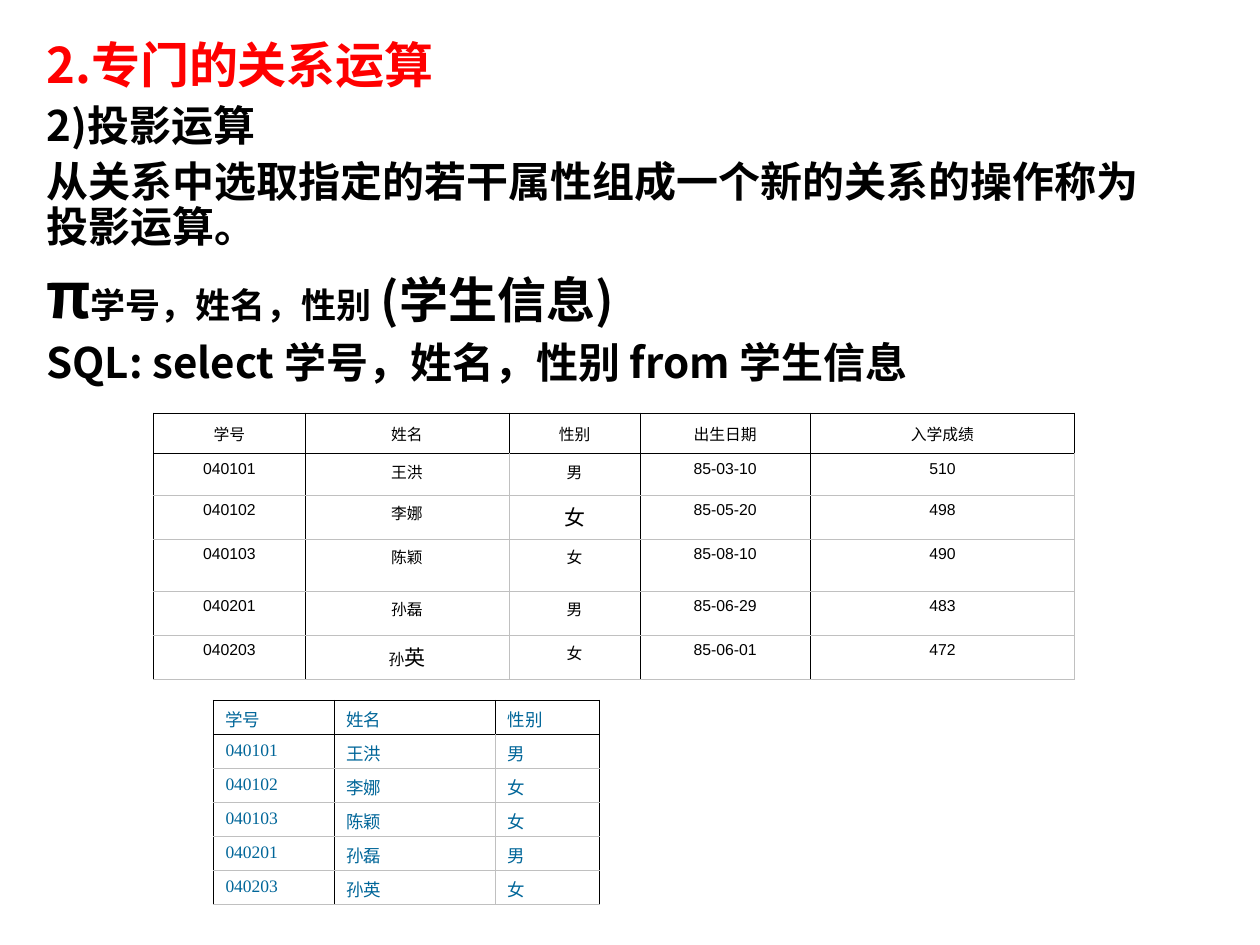
from lxml import etree
from pptx import Presentation
from pptx.dml.color import RGBColor
from pptx.enum.text import MSO_ANCHOR, PP_ALIGN
from pptx.oxml.ns import qn
from pptx.util import Inches, Pt

TOP, MIDDLE = MSO_ANCHOR.TOP, MSO_ANCHOR.MIDDLE
LEFT, CENTER = PP_ALIGN.LEFT, PP_ALIGN.CENTER

BLACK = RGBColor(0, 0, 0)
WHITE = RGBColor(255, 255, 255)
RED = RGBColor(255, 0, 0)
GRAY = RGBColor(0xC0, 0xC0, 0xC0)
TEAL = RGBColor(0x00, 0x66, 0x99)

HEADING_FONT = "Noto Sans CJK SC"
STUDENT_FONT = "Arial"
RESULT_FONT = "Times New Roman"

THIN, THICK = 0.45, 0.96

BODY = [
    (0, RED, [("2.专门的关系运算", 28)]),
    (6, BLACK, [("2)投影运算", 24)]),
    (6, BLACK, [("从关系中选取指定的若干属性组成一个新的关系的操作称为投影运算。", 24)]),
    (7, BLACK, [("π", 36), ("学号，姓名，性别", 20), (" ", 24), ("(学生信息)", 28)]),
    (6, BLACK, [("SQL: select 学号，姓名，性别 from 学生信息", 24)]),
]

STUDENTS = [
    ["学号", "姓名", "性别", "出生日期", "入学成绩"],
    ["040101", "王洪", "男", "85-03-10", "510"],
    ["040102", "李娜", "女", "85-05-20", "498"],
    ["040103", "陈颖", "女", "85-08-10", "490"],
    ["040201", "孙磊", "男", "85-06-29", "483"],
    ["040203", "孙英", "女", "85-06-01", "472"],
]
PROJECTION = [row[:3] for row in STUDENTS]
LARGER_RUNS = {
    (2, 2): [("女", 12)],
    (5, 1): [("孙", 9), ("英", 12)],
}


class SlideBuilder:
    def __init__(self, slide, east_asian_font):
        self.slide = slide
        self.east_asian_font = east_asian_font

    def add_runs(self, paragraph, runs, font_name, color, bold=False):
        paragraph.text = ""
        for text, size in runs:
            run = paragraph.add_run()
            run.text = text
            run.font.size = Pt(size)
            run.font.bold = bold
            run.font.name = font_name
            run.font.color.rgb = color
            east_asian = etree.SubElement(run.font._element, qn("a:ea"))
            east_asian.set("typeface", self.east_asian_font)

    def add_body(self, left, top, width, height, content):
        shape = self.slide.shapes.add_textbox(
            Inches(left), Inches(top), Inches(width), Inches(height))
        text_frame = shape.text_frame
        text_frame.word_wrap = True
        for index, (space, color, runs) in enumerate(content):
            paragraph = text_frame.add_paragraph() if index else text_frame.paragraphs[0]
            paragraph.line_spacing = 0.9
            paragraph.space_before = Pt(space)
            self.add_runs(paragraph, runs, HEADING_FONT, color, bold=True)

    def set_border(self, cell, side, color, width):
        properties = cell._tc.get_or_add_tcPr()
        line = etree.SubElement(properties, qn(f"a:ln{side}"), w=str(Pt(width)))
        fill = etree.SubElement(line, qn("a:solidFill"))
        etree.SubElement(fill, qn("a:srgbClr"), val=str(color))

    def add_table(self, left, top, widths, heights, values, edges,
                  font_name, size, color, alignment=LEFT, hanging=0, larger_runs=None):
        shape = self.slide.shapes.add_table(
            len(values), len(widths), Inches(left), Inches(top),
            Inches(sum(widths)), Inches(sum(heights)))
        table = shape.table
        table.first_row = False
        table.horz_banding = False
        for column, width in zip(table.columns, widths):
            column.width = Inches(width)
        for row, height in zip(table.rows, heights):
            row.height = Inches(height)
        levels = [(BLACK, THICK)] * 2 + [(GRAY, THIN)] * (len(values) - 1)
        for row_index, row_values in enumerate(values):
            is_header = row_index == 0
            for column_index, text in enumerate(row_values):
                cell = table.cell(row_index, column_index)
                for side, position in (("L", column_index), ("R", column_index + 1)):
                    edge_color, edge_width = edges[position]
                    self.set_border(cell, side, BLACK if is_header else edge_color, edge_width)
                for side, position in (("T", row_index), ("B", row_index + 1)):
                    self.set_border(cell, side, *levels[position])
                cell.fill.solid()
                cell.fill.fore_color.rgb = WHITE
                cell.vertical_anchor = MIDDLE if is_header else TOP
                paragraph = cell.text_frame.paragraphs[0]
                paragraph.alignment = alignment
                if hanging:
                    properties = paragraph._p.get_or_add_pPr()
                    properties.set("marL", str(Inches(hanging)))
                    properties.set("indent", str(-Inches(hanging)))
                runs = (larger_runs or {}).get((row_index, column_index), [(text, size)])
                self.add_runs(paragraph, runs, font_name, color)


def main():
    presentation = Presentation()
    presentation.slide_width = Inches(10)
    presentation.slide_height = Inches(7.5)
    slide = presentation.slides.add_slide(presentation.slide_layouts[6])
    builder = SlideBuilder(slide, HEADING_FONT)
    black_edge, gray_edge = (BLACK, THIN), (GRAY, THIN)

    builder.add_body(0.27, 0.28, 9.13, 5.91, BODY)
    builder.add_table(
        1.22, 3.28, [1.2, 1.62, 1.04, 1.35, 2.1], [0.32, 0.33, 0.35, 0.41, 0.35, 0.35],
        STUDENTS, [(BLACK, 0.34), black_edge, gray_edge, black_edge, black_edge, gray_edge],
        STUDENT_FONT, 9, BLACK, CENTER, 0.38, LARGER_RUNS)
    builder.add_table(
        1.69, 5.56, [0.96, 1.28, 0.83], [0.27] * len(PROJECTION),
        PROJECTION, [(BLACK, 0.06), black_edge, gray_edge, black_edge],
        RESULT_FONT, 10, TEAL)
    presentation.save("out.pptx")


if __name__ == "__main__":
    main()
